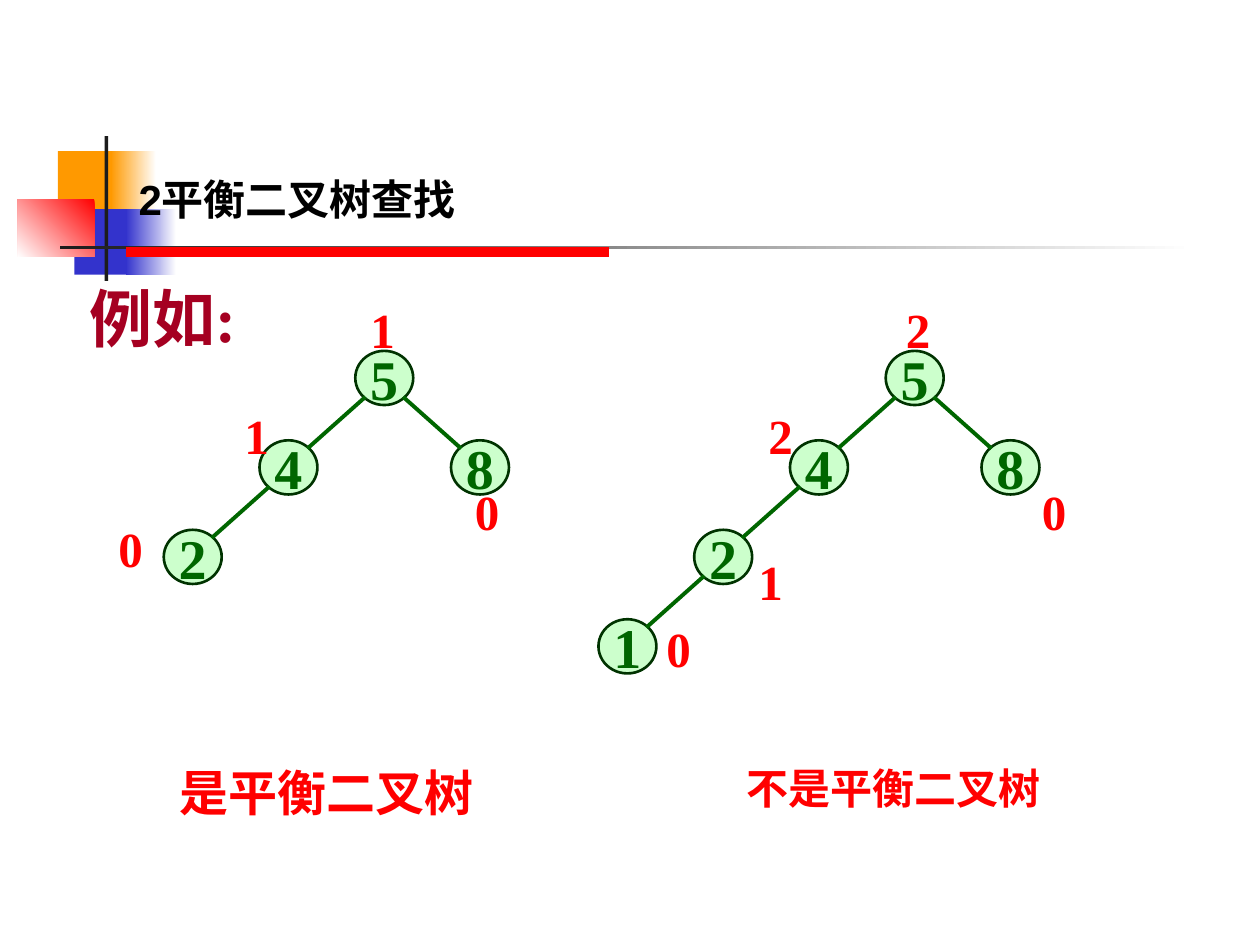
from lxml.etree import SubElement
from pptx import Presentation
from pptx.dml.color import RGBColor
from pptx.enum.shapes import MSO_CONNECTOR, MSO_SHAPE
from pptx.enum.text import MSO_ANCHOR, MSO_AUTO_SIZE, PP_ALIGN
from pptx.oxml.ns import qn
from pptx.util import Inches, Pt

COLORS = {
    "orange": "FF9900", "blue": "3333CC", "red": "FF0000", "white": "FFFFFF",
    "charcoal": "1C1C1C", "black": "000000", "crimson": "A50021",
    "node": "CCFFCC", "outline": "003300", "green": "006600",
}
SERIF = "Times New Roman"
TITLE = "2平衡二叉树查找"
DECORATIONS = [
    ((0.46, 1.2, 0.48, 0.52), ["orange"], 0),
    ((0.88, 1.2, 0.36, 0.52), ["white", "orange"], 180),
    ((0.59, 1.66, 0.46, 0.52), ["blue"], 0),
    ((1, 1.66, 0.4, 0.52), ["white", "blue"], 180),
    ((0.14, 1.58, 0.61, 0.46), ["red", "white"], 225),
    ((0.83, 1.08, 0.03, 1.15), ["charcoal"], 0),
    ((0.48, 1.95, 9, 0.03), ["white", "charcoal"], 180),
]
LABELS = [
    ("例如:", (0.61, 2.17, 1.48, 0.7), 36, "crimson", False),
    ("是平衡二叉树", (1.33, 6, 2.67, 0.57), 28, "red", True),
    ("不是平衡二叉树", (5.83, 6, 2.68, 0.5), 24, "red", True),
]
TREES = [
    {
        "root": (3.05, 3),
        "nodes": {"5": (0, 0), "4": (-1, 1), "8": (1, 1), "2": (-2, 2)},
        "edges": ["54", "42", "58"],
        "factors": [("0", 0.84, 4.07), ("1", 1.84, 3.17), ("0", 3.67, 3.77), ("1", 2.84, 2.33)],
    },
    {
        "root": (7.26, 3),
        "nodes": {"5": (0, 0), "4": (-1, 1), "8": (1, 1), "2": (-2, 2), "1": (-3, 3)},
        "edges": ["54", "42", "21", "58"],
        "factors": [("0", 5.19, 4.86), ("1", 5.92, 4.33), ("2", 6, 3.17),
                    ("0", 8.17, 3.77), ("2", 7.09, 2.33)],
    },
]
COLUMN_STEP, ROW_STEP = 0.76, 0.71
NODE_WIDTH, NODE_HEIGHT = 0.46, 0.43
EDGE_INSET = 0.15


def color(name):
    return RGBColor.from_string(COLORS[name])


def set_text(shape, text, size, color_name, font_name=SERIF, wrap=False,
             align=PP_ALIGN.LEFT, anchor=MSO_ANCHOR.TOP):
    frame = shape.text_frame
    frame.text = text
    frame.auto_size = MSO_AUTO_SIZE.NONE
    frame.word_wrap = wrap
    frame.vertical_anchor = anchor
    paragraph = frame.paragraphs[0]
    paragraph.alignment = align
    font = paragraph.font
    font.name, font.size, font.bold = font_name, Pt(size), True
    font.color.rgb = color(color_name)


def add_label(slide, text, box, size, color_name, wrap=False):
    shape = slide.shapes.add_textbox(*map(Inches, box))
    set_text(shape, text, size, color_name, wrap=wrap)


def add_decoration(slide, box, color_names, angle):
    shape = slide.shapes.add_shape(MSO_SHAPE.RECTANGLE, *map(Inches, box))
    shape.shadow.inherit = False
    shape.line.fill.background()
    if len(color_names) == 1:
        shape.fill.solid()
        shape.fill.fore_color.rgb = color(color_names[0])
        return
    shape.fill.gradient()
    shape.fill.gradient_angle = angle
    for stop, name in zip(shape.fill.gradient_stops, color_names):
        stop.color.rgb = color(name)


def add_line(slide, start, end, color_name, width):
    line = slide.shapes.add_connector(MSO_CONNECTOR.STRAIGHT, *map(Inches, (*start, *end)))
    line.line.color.rgb = color(color_name)
    line.line.width = Pt(width)
    SubElement(line._element.spPr, qn("a:effectLst"))


def add_node(slide, label, center):
    x, y = center
    box = (x - NODE_WIDTH / 2, y - NODE_HEIGHT / 2, NODE_WIDTH, NODE_HEIGHT)
    shape = slide.shapes.add_shape(MSO_SHAPE.OVAL, *map(Inches, box))
    shape.shadow.inherit = False
    shape.fill.solid()
    shape.fill.fore_color.rgb = color("node")
    shape.line.color.rgb = color("outline")
    shape.line.width = Pt(1.5)
    set_text(shape, label, 32, "green", align=PP_ALIGN.CENTER, anchor=MSO_ANCHOR.MIDDLE)


def add_tree(slide, tree):
    root_x, root_y = tree["root"]
    centers = {
        label: (root_x + column * COLUMN_STEP, root_y + row * ROW_STEP)
        for label, (column, row) in tree["nodes"].items()
    }
    for label, center in centers.items():
        add_node(slide, label, center)
    for parent, child in tree["edges"]:
        (x1, y1), (x2, y2) = centers[parent], centers[child]
        shift = EDGE_INSET if x2 > x1 else -EDGE_INSET
        add_line(slide, (x1 + shift, y1 + EDGE_INSET), (x2 - shift, y2 - EDGE_INSET), "green", 2.25)
    for factor, left, top in tree["factors"]:
        add_label(slide, factor, (left, top, 0.39, 0.57), 28, "red")


def main():
    """Build the slide that compares a balanced and an unbalanced binary tree."""
    presentation = Presentation()
    presentation.slide_width, presentation.slide_height = Inches(10), Inches(7.5)
    slide = presentation.slides.add_slide(presentation.slide_layouts[5])
    title = slide.shapes.title
    for decoration in DECORATIONS:
        add_decoration(slide, *decoration)
    slide.shapes._spTree.append(title._element)
    title.left, title.top, title.width, title.height = map(Inches, (1, 1.33, 8.58, 0.5))
    set_text(title, TITLE, 24, "black", font_name="Arial", wrap=True, align=PP_ALIGN.JUSTIFY)
    add_line(slide, (1, 2), (4.83, 2), "red", 6)
    for label in LABELS:
        add_label(slide, *label)
    for tree in TREES:
        add_tree(slide, tree)
    presentation.save("out.pptx")


if __name__ == "__main__":
    main()
